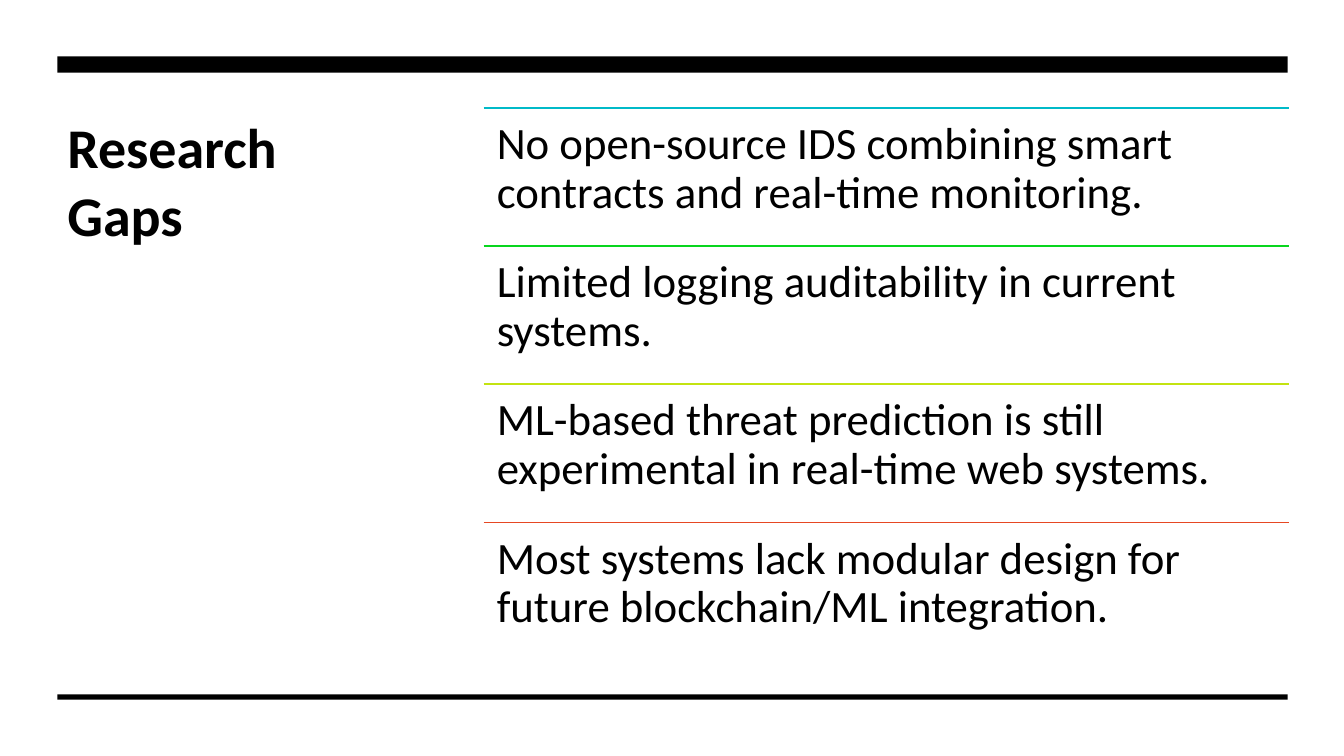
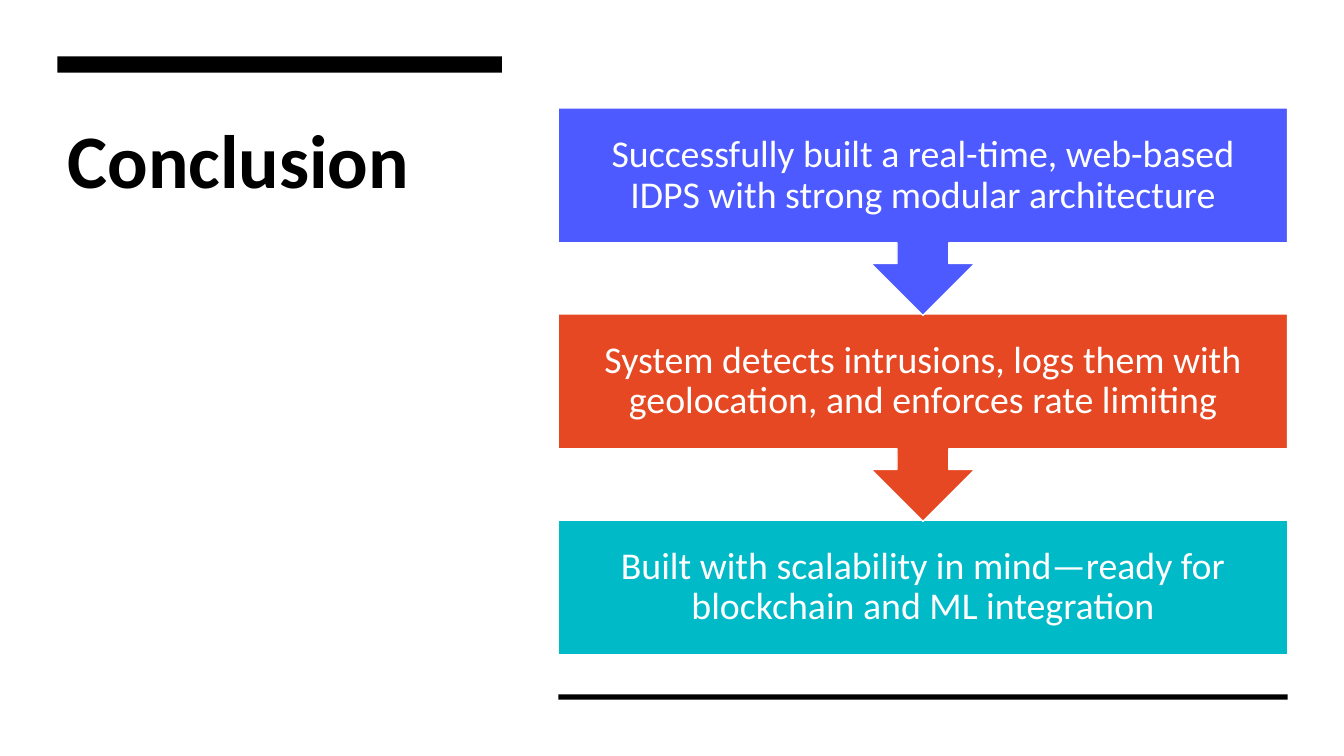
"""Build the research gaps and conclusion slides."""
from lxml import etree
from pptx import Presentation
from pptx.dml.color import RGBColor
from pptx.enum import shapes, text
from pptx.oxml import ns
from pptx.util import Cm, Pt

FONT = "Calibri"
BLACK, WHITE = "000000", "FFFFFF"
TEAL, GREEN, LIME, RED, BLUE = "00BAC8", "08D61E", "C3E311", "E64823", "4D5AFF"
LEFT, RIGHT, TOP = 1.45, 32.45, 2.72

GAPS = [
    ("No open-source IDS combining smart contracts and real-time monitoring.", TEAL),
    ("Limited logging auditability in current systems.", GREEN),
    ("ML-based threat prediction is still experimental in real-time web systems.", LIME),
    ("Most systems lack modular design for future blockchain/ML integration.", RED),
]
STEPS = [
    ("Successfully built a real-time, web-based IDPS with strong modular architecture", BLUE),
    ("System detects intrusions, logs them with geolocation, and enforces rate limiting", RED),
    ("Built with scalability in mind—ready for blockchain and ML integration", TEAL),
]


def color(value):
    """Turn a hex string into a colour."""
    return RGBColor.from_string(value)


def write(shape, words, size, ink=BLACK, bold=False, spacing=0.9, inset=None,
          align=text.PP_ALIGN.LEFT, anchor=text.MSO_ANCHOR.TOP):
    """Put one styled, wrapping paragraph into a shape."""
    frame = shape.text_frame
    frame.word_wrap = True
    frame.vertical_anchor = anchor
    if inset is not None:
        frame.margin_left = frame.margin_right = Cm(inset)
        frame.margin_top = frame.margin_bottom = Cm(inset)
    para = frame.paragraphs[0]
    para.text = words
    para.alignment = align
    para.line_spacing = spacing
    para.font.name = FONT
    para.font.size = Pt(size)
    para.font.bold = bold
    para.font.color.rgb = color(ink)


def add_text(page, left, top, width, height, words, size, **style):
    """Add a text box."""
    box = page.shapes.add_textbox(Cm(left), Cm(top), Cm(width), Cm(height))
    write(box, words, size, **style)


def add_block(page, kind, left, top, width, height, fill, outline=None):
    """Add a flat filled shape."""
    block = page.shapes.add_shape(kind, Cm(left), Cm(top), Cm(width), Cm(height))
    block.shadow.inherit = False
    block.fill.solid()
    block.fill.fore_color.rgb = color(fill)
    if outline:
        block.line.color.rgb = color(outline)
        block.line.width = Pt(1)
    else:
        block.line.fill.background()
    return block


def add_line(page, left, right, top, ink):
    """Add a thin horizontal line."""
    line = page.shapes.add_connector(
        shapes.MSO_CONNECTOR.STRAIGHT, Cm(left), Cm(top), Cm(right), Cm(top))
    line.line.color.rgb = color(ink)
    line.line.width = Pt(1)
    etree.SubElement(line.element.spPr, ns.qn("a:effectLst"))


def add_page(deck, title, size, title_width, band_right, footer_left):
    """Add a page with its title, top band and footer rule."""
    page = deck.slides.add_slide(deck.slide_layouts[6])
    page.background.fill.solid()
    page.background.fill.fore_color.rgb = color(WHITE)
    add_text(page, LEFT, TOP, title_width, 9.35, title, size, bold=True, spacing=1.0)
    rectangle = shapes.MSO_SHAPE.RECTANGLE
    add_block(page, rectangle, LEFT, 1.42, band_right - LEFT, 0.41, BLACK)
    add_block(page, rectangle, footer_left, 17.5, RIGHT - footer_left, 0.13, BLACK)
    return page


def add_gaps(page):
    """List the gaps, each under a coloured line."""
    left, width, pitch = 12.19, 20.29, 3.48
    for index, (words, ink) in enumerate(GAPS):
        top = TOP + index * pitch
        add_line(page, left, left + width, top, ink)
        add_text(page, left, top, width, pitch, words, 32, inset=0.33)


def add_steps(page, left):
    """Stack the steps from the bottom up so that each arrow overlaps the next."""
    pitch, box_height, callout_height = 5.19, 3.4, 5.23
    last = len(STEPS) - 1
    for index, (words, fill) in reversed(list(enumerate(STEPS))):
        kind, height = shapes.MSO_SHAPE.DOWN_ARROW_CALLOUT, callout_height
        if index == last:
            kind, height = shapes.MSO_SHAPE.RECTANGLE, box_height
        step = add_block(page, kind, left, TOP + index * pitch, RIGHT - left,
                         height, fill, outline=WHITE)
        write(step, words, 27, ink=WHITE, inset=0.53,
              align=text.PP_ALIGN.CENTER, anchor=text.MSO_ANCHOR.MIDDLE)


def main():
    """Build and save the deck."""
    deck = Presentation()
    deck.slide_width, deck.slide_height = Cm(33.87), Cm(19.05)
    add_gaps(add_page(deck, "Research Gaps", 40, 8.76, RIGHT, LEFT))
    steps_left = 14.07
    add_steps(add_page(deck, "Conclusion", 54, 11.2, 12.65, steps_left), steps_left)
    deck.save("out.pptx")


if __name__ == "__main__":
    main()
